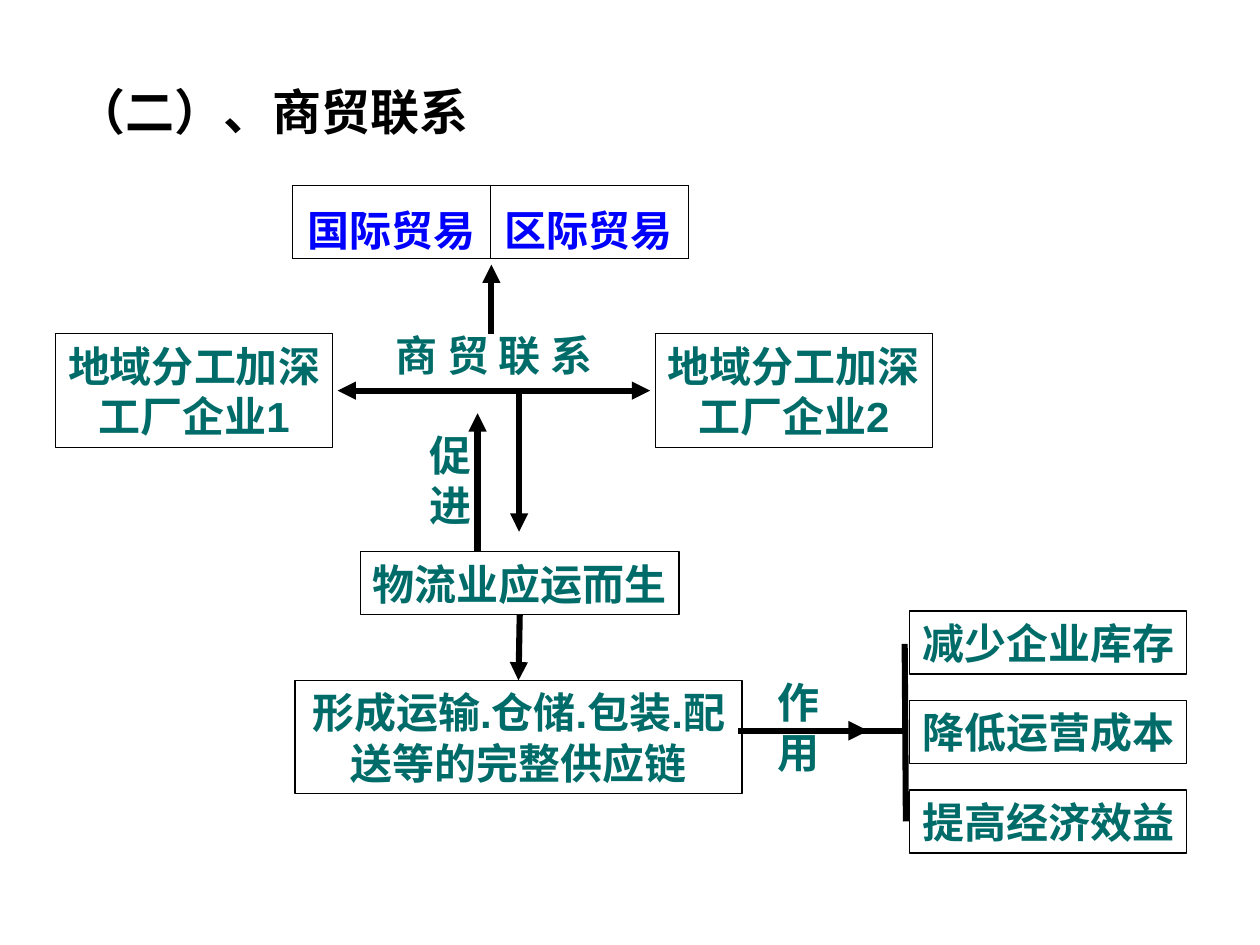
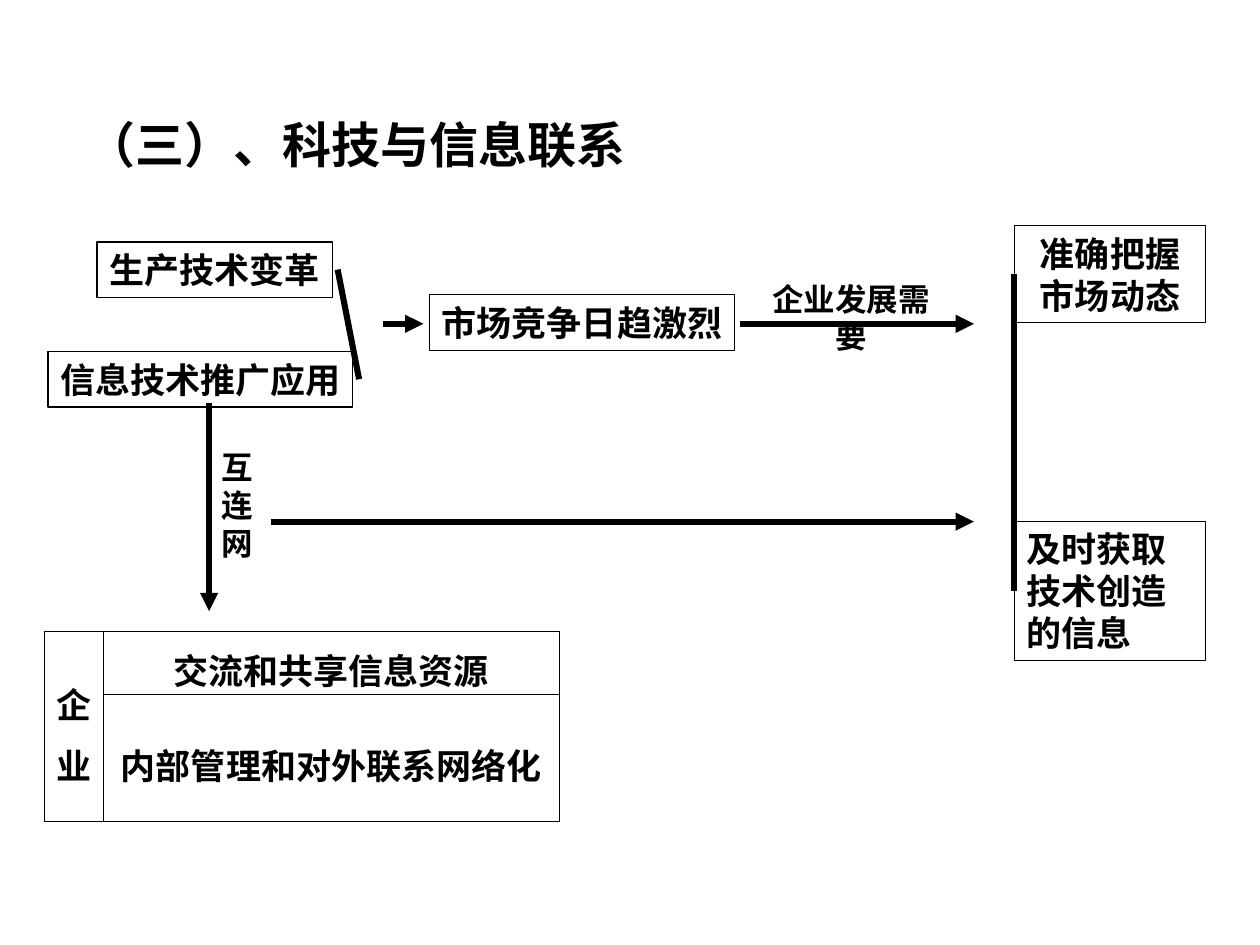
import pptx
import pptx.dml.color
import pptx.enum.shapes
import pptx.enum.text
import pptx.oxml.ns
import pptx.util
from lxml import etree
from dataclasses import dataclass

PX = 9144  # 100 px to the inch
ALIGN = pptx.enum.text.PP_ALIGN
ANCHOR = pptx.enum.text.MSO_ANCHOR


@dataclass(frozen=True)
class Theme:
    ink: str = "000000"
    teal: str = "006C69"
    blue: str = "0000FF"
    cjk: str = "Noto Sans CJK SC"
    latin: str = "Arial"
    title: int = 28
    large: int = 24
    medium: int = 20
    small: int = 18
    border: float = 0.75
    cell_border: float = 0.45
    stroke: float = 3.5
    heavy_stroke: float = 3.75


theme = Theme()
title_style = (theme.title, theme.ink, theme.cjk)
trade_style = (theme.large, theme.teal, theme.latin)
region_style = (theme.large, theme.blue, theme.latin)
tech_style = (theme.medium, theme.ink, theme.cjk)
caption_style = (theme.small, theme.ink, theme.cjk)


def write(frame, text, style, align=ALIGN.CENTER):
    """Fill a text frame with bold text, one paragraph per line."""
    size, color, face = style
    frame.text = text
    frame.word_wrap = True
    for para in frame.paragraphs:
        para.alignment = align
        for span in para.runs:
            span.font.size = pptx.util.Pt(size)
            span.font.bold = True
            span.font.color.rgb = pptx.dml.color.RGBColor.from_string(color)
            span.font.name = face
            east_asian = etree.SubElement(span.font._element, pptx.oxml.ns.qn("a:ea"))
            east_asian.set("typeface", theme.cjk)


def draw_line(page, start, end, arrows="", width=theme.stroke):
    """Draw a black line; arrows names its ends: head, tail or both."""
    line = page.shapes.add_connector(
        pptx.enum.shapes.MSO_CONNECTOR.STRAIGHT, *(v * PX for v in start + end))
    line.line.width = pptx.util.Pt(width)
    line.line.color.rgb = pptx.dml.color.RGBColor.from_string(theme.ink)
    stroke = line.line._get_or_add_ln()
    for arrow in arrows.split():
        etree.SubElement(stroke, pptx.oxml.ns.qn(f"a:{arrow}End")).set("type", "triangle")
    etree.SubElement(line._element.spPr, pptx.oxml.ns.qn("a:effectLst"))
    return line


deck = pptx.Presentation()
deck.slide_width = 1000 * PX
deck.slide_height = 750 * PX
trade, tech = (deck.slides.add_slide(deck.slide_layouts[6]) for _ in range(2))

# Tables: page, left, top, column widths, row heights, texts by row, style
tables = []
for page, left, top, widths, heights, rows, style in [
    (trade, 232, 147, [157, 157], [55], [["国际贸易", "区际贸易"]], region_style),
    (tech, 35, 501, [47, 362], [44, 77],
     [["企业", "交流和共享信息资源"], ["", "内部管理和对外联系网络化"]], tech_style),
]:
    frame = page.shapes.add_table(len(heights), len(widths), left * PX, top * PX,
                                  sum(widths) * PX, sum(heights) * PX)
    table = frame.table
    table.first_row = table.horz_banding = False
    for column, width in zip(table.columns, widths):
        column.width = width * PX
    for row, height, texts in zip(table.rows, heights, rows):
        row.height = height * PX
        for cell, text in zip(row.cells, texts):
            write(cell.text_frame, text, style)
            cell.vertical_anchor = ANCHOR.MIDDLE
            cell.margin_left = cell.margin_right = cell.margin_top = 10 * PX
            cell.margin_bottom = 0
            properties = cell._tc.get_or_add_tcPr()
            for side in ("lnL", "lnR", "lnT", "lnB"):
                edge = etree.SubElement(properties, pptx.oxml.ns.qn(f"a:{side}"))
                edge.set("w", str(pptx.util.Pt(theme.cell_border)))
                fill = etree.SubElement(edge, pptx.oxml.ns.qn("a:solidFill"))
                etree.SubElement(fill, pptx.oxml.ns.qn("a:srgbClr")).set("val", theme.ink)
            cell.fill.background()
    tables.append(table)

company = tables[1].cell(0, 0)
company.merge(tables[1].cell(1, 0))
company.margin_top = 4 * PX
company.text_frame.paragraphs[0].line_spacing = 1.2

# Outlined boxes: page, text, left, top, width, height
effects = ["减少企业库存", "降低运营成本", "提高经济效益"]
boxes = {}
for page, text, left, top, width, height in [
    (trade, "地域分工加深\n工厂企业1", 44, 265, 220, 90),
    (trade, "地域分工加深\n工厂企业2", 520, 265, 220, 90),
    (trade, "物流业应运而生", 286, 438, 253, 50),
    (trade, "形成运输.仓储.包装.配送等的完整供应链", 234, 540, 355, 90),
    *((trade, effect, 722, 485 + 71 * i, 220, 50) for i, effect in enumerate(effects)),
    (tech, "生产技术变革", 77, 192, 187, 44),
    (tech, "信息技术推广应用", 38, 279, 242, 44),
    (tech, "市场竞争日趋激烈", 341, 234, 242, 44),
    (tech, "准确把握市场动态", 805, 179, 152, 77),
    (tech, "及时获取技术创造的信息", 805, 414, 152, 110),
]:
    box = page.shapes.add_shape(pptx.enum.shapes.MSO_SHAPE.RECTANGLE,
                                left * PX, top * PX, width * PX, height * PX)
    box.shadow.inherit = False
    box.fill.background()
    box.line.width = pptx.util.Pt(theme.border)
    box.line.color.rgb = pptx.dml.color.RGBColor.from_string(theme.ink)
    box.text_frame.vertical_anchor = ANCHOR.MIDDLE
    write(box.text_frame, text, trade_style if page is trade else tech_style)
    box.text_frame.word_wrap = width in (355, 152)
    boxes[text] = box
boxes["及时获取技术创造的信息"].text_frame.paragraphs[0].alignment = ALIGN.LEFT

# Titles and captions: page, text, left, top, width, height, style, alignment
for page, text, left, top, width, height, style, align in [
    (trade, "（二）、商贸联系", 51, 60, 448, 57, title_style, ALIGN.LEFT),
    (tech, "（三）、科技与信息联系", 59, 86, 528, 57, title_style, ALIGN.LEFT),
    (trade, "商 贸 联 系", 299, 257, 186, 90, trade_style, ALIGN.CENTER),
    (trade, "促进", 331, 336, 48, 90, trade_style, ALIGN.CENTER),
    (trade, "作用", 591, 532, 86, 50, trade_style, ALIGN.CENTER),
    (tech, "企业发展需要", 603, 217, 145, 70, caption_style, ALIGN.CENTER),
    (tech, "互连网", 166, 351, 56, 100, caption_style, ALIGN.LEFT),
]:
    caption = page.shapes.add_textbox(left * PX, top * PX, width * PX, height * PX)
    write(caption.text_frame, text, style, align)

# Trade links
draw_line(trade, (268, 310), (516, 310), "head tail")
draw_line(trade, (718, 511), (719, 652))
draw_line(trade, (589, 580), (718, 580))
draw_line(trade, (412, 312), (412, 422), "tail")
draw_line(trade, (379, 438), (379, 328), "tail")
draw_line(trade, (390, 265), (390, 210), "tail")
draw_line(trade, (586, 580), (689, 580), "tail", theme.heavy_stroke)
supply = draw_line(trade, (413, 488), (412, 540), "tail")
supply.begin_connect(boxes["物流业应运而生"], 2)
supply.end_connect(boxes["形成运输.仓储.包装.配送等的完整供应链"], 0)

# Technology and information links
draw_line(tech, (268, 214), (285, 301))
draw_line(tech, (166, 320), (166, 485), "tail")
draw_line(tech, (587, 257), (773, 257), "tail")
draw_line(tech, (215, 414), (773, 414), "tail")
draw_line(tech, (304, 257), (336, 257), "tail")
needs = draw_line(tech, (805, 217), (805, 469))
needs.begin_connect(boxes["准确把握市场动态"], 1)
needs.end_connect(boxes["及时获取技术创造的信息"], 1)

deck.save("out.pptx")
